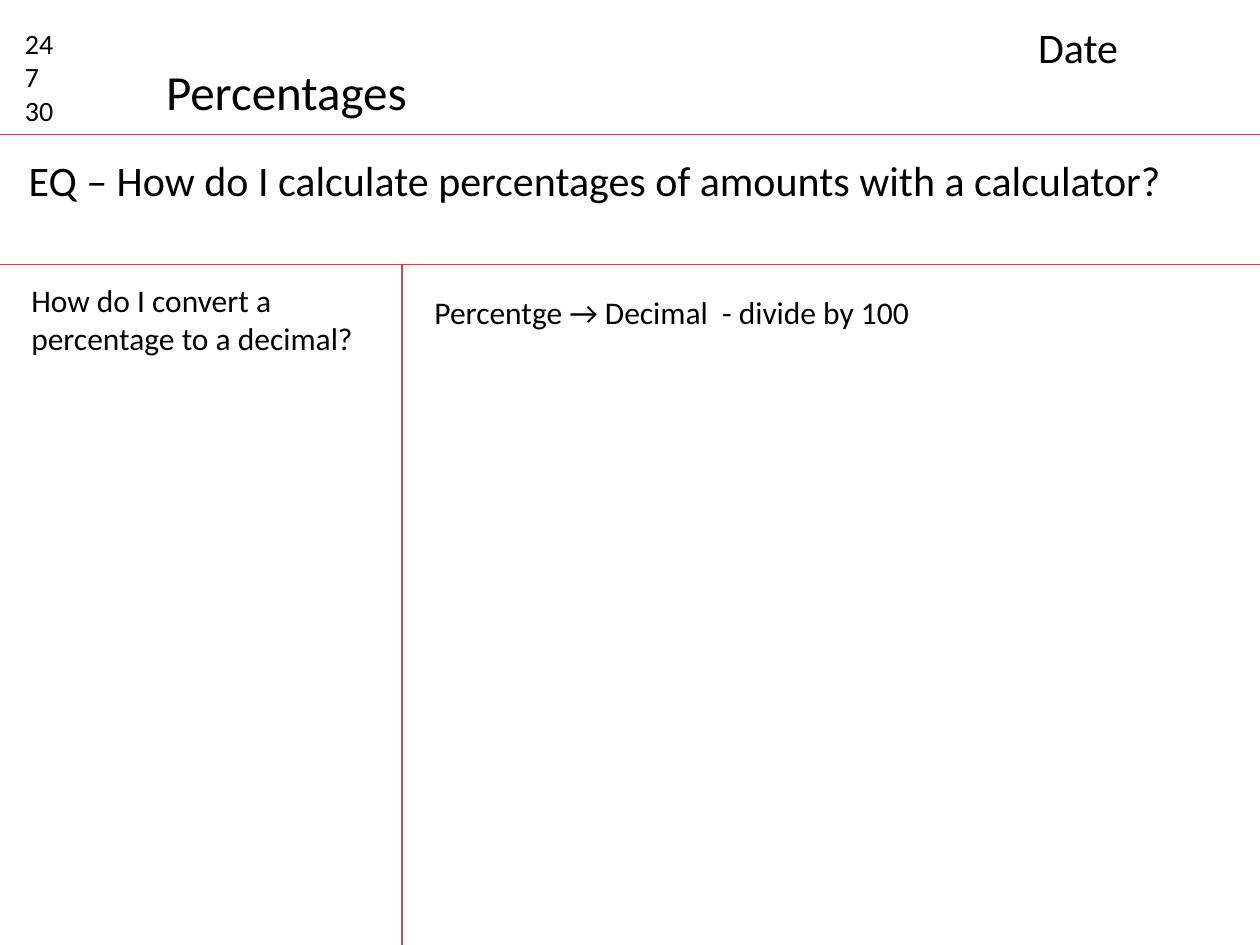
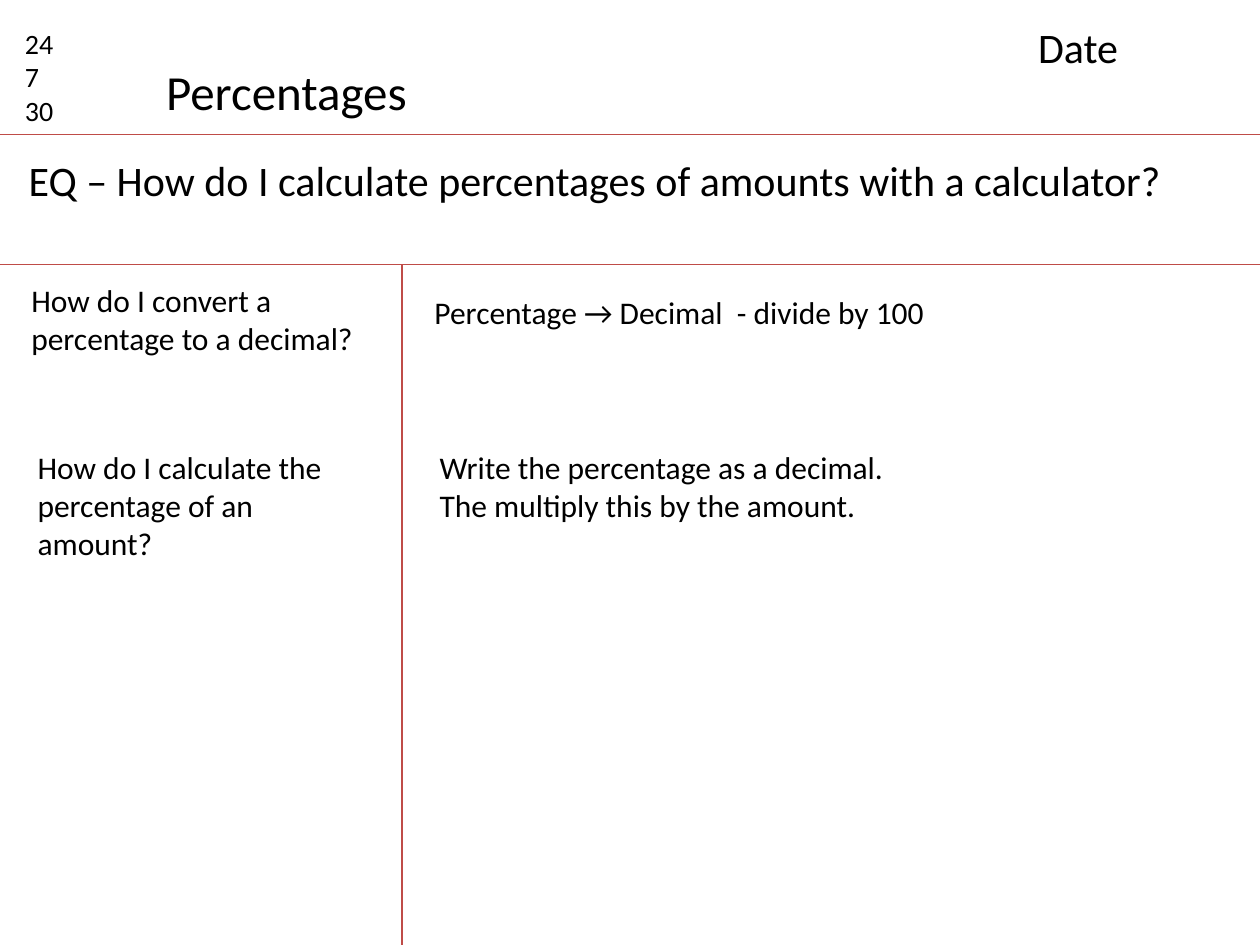
from lxml import etree
from pptx import Presentation
from pptx import util as u
from pptx.dml.color import RGBColor
from pptx.enum import shapes, text
from pptx.oxml.ns import qn

# Content shared by both pages: lines, box (left, top, width, height), format
HEAD = [
    (["24", "7", "30"], (10, 16, 63, 91), {"size": 16}),
    (["Percentages"], (122, 44, 213, 57), {"size": 28, "wrap": False}),
    (["Date"], (814, 12, 173, 50), {"size": 24}),
    (["EQ – How do I calculate percentages of amounts with a calculator?"],
     (13, 118, 943, 50), {"size": 24}),
    (["How do I convert a percentage to a decimal?"], (15, 218, 276, 101), {}),
]

# Notes of each page
RULE = (335, 228, 447, 40)
NOTES = [
    [
        (["Percentge → Decimal  - divide by 100"], RULE, {}),
    ],
    [
        (["Percentage → Decimal  - divide by 100"], RULE, {}),
        (["How do I calculate the percentage of an amount?"],
         (20, 351, 257, 101), {}),
        (["Write the percentage as a decimal.",
          "The multiply this by the amount."],
         (339, 351, 382, 71), {"wrap": False}),
    ],
]

# Shared look, 100 px to the inch
PX = 9144
WIDE, HIGH = 1000, 750
TOP, BASE, SPLIT = 107, 210, 319
RULES = [(0, TOP, WIDE, TOP), (0, BASE, WIDE, BASE),
         (SPLIT, BASE, SPLIT, HIGH)]
FONT = "Calibri"
INK = RGBColor(0x00, 0x00, 0x00)
RED = RGBColor(0xBF, 0x4C, 0x48)


def emu(vals):
    return [v * PX for v in vals]


def write(slide, lines, box, size=18, wrap=True):
    frame = slide.shapes.add_textbox(*emu(box)).text_frame
    frame.word_wrap = wrap
    frame.auto_size = text.MSO_AUTO_SIZE.SHAPE_TO_FIT_TEXT
    frame.text = "\n".join(lines)
    for para in frame.paragraphs:
        for run in para.runs:
            run.font.name = FONT
            run.font.size = u.Pt(size)
            run.font.color.rgb = INK


def rule(slide, ends):
    line = slide.shapes.add_connector(shapes.MSO_CONNECTOR.STRAIGHT, *emu(ends))
    line.line.color.rgb = RED
    line.line.width = u.Pt(0.75)
    etree.SubElement(line._element.spPr, qn("a:effectLst"))


def main():
    deck = Presentation()
    deck.slide_width, deck.slide_height = emu((WIDE, HIGH))
    for notes in NOTES:
        slide = deck.slides.add_slide(deck.slide_layouts[6])
        # Page grid
        for ends in RULES:
            rule(slide, ends)
        # Heading and notes
        for lines, box, form in HEAD + notes:
            write(slide, lines, box, **form)
    deck.save("out.pptx")


if __name__ == "__main__":
    main()
